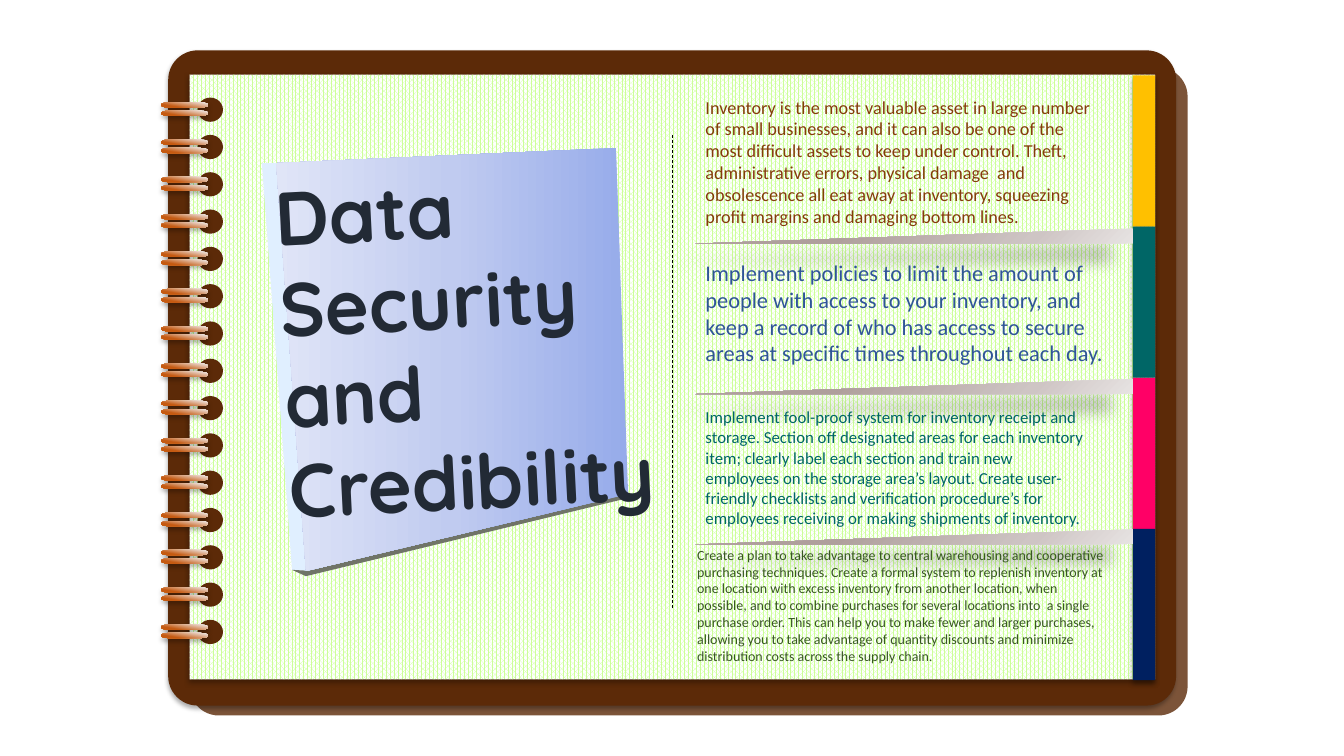
"""Builds the notebook slide on data security and inventory control."""
from lxml import etree
from pptx import Presentation
from pptx import util as u
from pptx.dml.color import RGBColor
from pptx.enum import dml, shapes, text
from pptx.oxml.ns import qn

TITLE = ("Data Security and Credibility", (6.86, 3.94, 10.08, 9.5),
         {"size": 54, "name": "Quicksand", "bold": True}, "222A35")
NOTES = [
    ("Inventory is the most valuable asset in large number of small businesses, and it can also be "
     "one of the most difficult assets to keep under control. Theft, administrative errors, physical "
     "damage  and obsolescence all eat away at inventory, squeezing profit margins and damaging "
     "bottom lines.", (17.53, 2.29, 10.49, 3.58), 13, "843C0B"),
    ("Implement policies to limit the amount of people with access to your inventory, and keep a "
     "record of who has access to secure areas at specific times throughout each day.",
     (17.53, 6.4, 10.69, 3), 16, "2F5597"),
    ("Implement fool-proof system for inventory receipt and storage. Section off designated areas "
     "for each inventory item; clearly label each section and train new employees on the storage "
     "area’s layout. Create user-friendly checklists and verification procedure’s for employees "
     "receiving or making shipments of inventory.", (17.53, 10.13, 10.11, 3.33), 12, "006666"),
    ("Create a plan to take advantage to central warehousing and cooperative purchasing techniques. "
     "Create a formal system to replenish inventory at one location with excess inventory from "
     "another location, when possible, and to combine purchases for several locations into  a single "
     "purchase order. This can help you to make fewer and larger purchases, allowing you to take "
     "advantage of quantity discounts and minimize distribution costs across the supply chain.",
     (17.32, 13.64, 10.77, 3.25), 10, "385723"),
]
TABS = ["FFC000", "006666", "FF0066", "002060"]
LEATHER = "5C2A08"
SOFT = (32, 3.5, 2.2, 90)
FOLD = (28, 11.8, 19.7, 141)
FOLD_STOPS = [(33, "AF9F9C"), (77, "CEC5C4"), (100, "E7E3E2")]
WIRE_STOPS = [(0, "FBE5D6"), (0, "F2F2F2"), (78, "C55A11")]
CARD_STOPS = [(0, "96ABEA"), (50, "C0CBF0"), (100, "E0E5F7")]
CARD_EDGES = [
    ([(6.6, 4.11), (6.96, 4.11), (7.71, 14.39), (7.36, 14.36)], "E0EFFF"),
    ([(7.36, 14.36), (7.71, 14.38), (15.83, 12.42), (15.83, 12.55), (7.71, 14.52)], "707468"),
]
CARD_FACE = [(6.96, 4.11), (15.52, 3.73), (15.83, 12.45), (7.71, 14.39)]
RINGS, RING_TOP, RING_PITCH = 15, 2.46, 0.94


def rgb(color):
    return RGBColor.from_string(color)


def add(parent, tag, **attrs):
    return etree.SubElement(parent, qn("a:" + tag), {k: str(v) for k, v in attrs.items()})


def paint(sp, color=None, shadow=None, alpha=None):
    sp.line.fill.background()
    if color:
        sp.fill.solid()
        sp.fill.fore_color.rgb = rgb(color)
    if alpha:
        add(sp._element.spPr.find(".//" + qn("a:srgbClr")), "alpha", val=alpha * 1000)
    sp.shadow.inherit = False
    if shadow:
        opacity, blur, dist, angle = shadow
        effects = sp._element.spPr.find(qn("a:effectLst"))
        outer = add(effects, "outerShdw", blurRad=u.Pt(blur), dist=u.Pt(dist),
                    dir=angle * 60000, rotWithShape=0)
        add(add(outer, "srgbClr", val="000000"), "alpha", val=opacity * 1000)
    return sp


def blend(sp, stops, angle=None):
    sp.fill.background()
    spPr = sp._element.spPr
    grad = etree.Element(qn("a:gradFill"), rotWithShape="1")
    stop_list = add(grad, "gsLst")
    for pos, color in stops:
        add(add(stop_list, "gs", pos=pos * 1000), "srgbClr", val=color)
    if angle is None:
        add(add(grad, "path", path="circle"), "fillToRect", r=100000, b=100000)
    else:
        add(grad, "lin", ang=angle * 60000, scaled=0)
    spPr.replace(spPr.find(qn("a:noFill")), grad)


def shape(kind, box, *args):
    return paint(s.shapes.add_shape(kind, *map(u.Cm, box)), *args)


def outline(points, *args):
    corners = [(u.Cm(x), u.Cm(y)) for x, y in points]
    builder = s.shapes.build_freeform(*corners[0], scale=1.0)
    builder.add_line_segments(corners[1:], close=True)
    return paint(builder.convert_to_shape(), *args)


def write(words, box, font, color):
    sp = s.shapes.add_textbox(*map(u.Cm, box))
    tf = sp.text_frame
    tf.word_wrap = True
    tf.vertical_anchor = text.MSO_ANCHOR.TOP
    r = tf.paragraphs[0].add_run()
    r.text = words
    for key, value in font.items():
        setattr(r.font, key, u.Pt(value) if key == "size" else value)
    r.font.color.rgb = rgb(color)
    return sp


prs = Presentation()
prs.slide_width, prs.slide_height = u.Cm(33.87), u.Cm(19.05)
s = prs.slides.add_slide(prs.slide_layouts[6])
MSO = shapes.MSO_SHAPE

back = shape(MSO.ROUNDED_RECTANGLE, (4.78, 1.7, 25.15, 16.33), LEATHER, None, 80)
cover = shape(MSO.ROUNDED_RECTANGLE, (4.24, 1.27, 25.4, 16.51), LEATHER, SOFT)
for sp in (back, cover):
    sp.adjustments[0] = 0.045

page = shape(MSO.RECTANGLE, (4.78, 1.88, 24.33, 15.24), None, SOFT)
page.fill.patterned()
page.fill.pattern = dml.MSO_PATTERN.PERCENT_75
page.fill.fore_color.rgb = rgb("CCFF99")
page.fill.back_color.rgb = rgb("FFFFFF")

divider = s.shapes.add_connector(shapes.MSO_CONNECTOR.STRAIGHT,
                                 *map(u.Cm, (16.94, 3.4, 16.94, 15.34)))
divider.line.color.rgb = rgb("000000")
divider.line.width = u.Pt(0.5)
divider.line.dash_style = dml.MSO_LINE.DASH
add(divider._element.spPr, "effectLst")

for i, color in enumerate(TABS):
    shape(MSO.RECTANGLE, (28.55, 1.9 + 3.81 * i, 0.56, 3.81), color, SOFT)
for i in range(len(TABS) - 1):
    fold = shape(MSO.RIGHT_TRIANGLE, (17.53, 5.76 + 3.79 * i, 11.02, 0.38), None, FOLD)
    fold._element.spPr.find(qn("a:xfrm")).set("flipH", "1")
    blend(fold, FOLD_STOPS)

for i in range(RINGS):
    top = RING_TOP + RING_PITCH * i
    shape(MSO.OVAL, (4.98, top, 0.64, 0.61), LEATHER)
    for drop in (0.12, 0.33):
        wire = shape(MSO.FLOWCHART_TERMINATOR, (4.06, top + drop, 1.19, 0.13), None, SOFT)
        blend(wire, WIRE_STOPS, 100)

for points, color in CARD_EDGES:
    outline(points, color)
blend(outline(CARD_FACE), CARD_STOPS, 180)
write(*TITLE).rotation = -3

for words, box, size, color in NOTES:
    write(words, box, {"size": size, "name": "Calibri"}, color)

prs.save("out.pptx")
